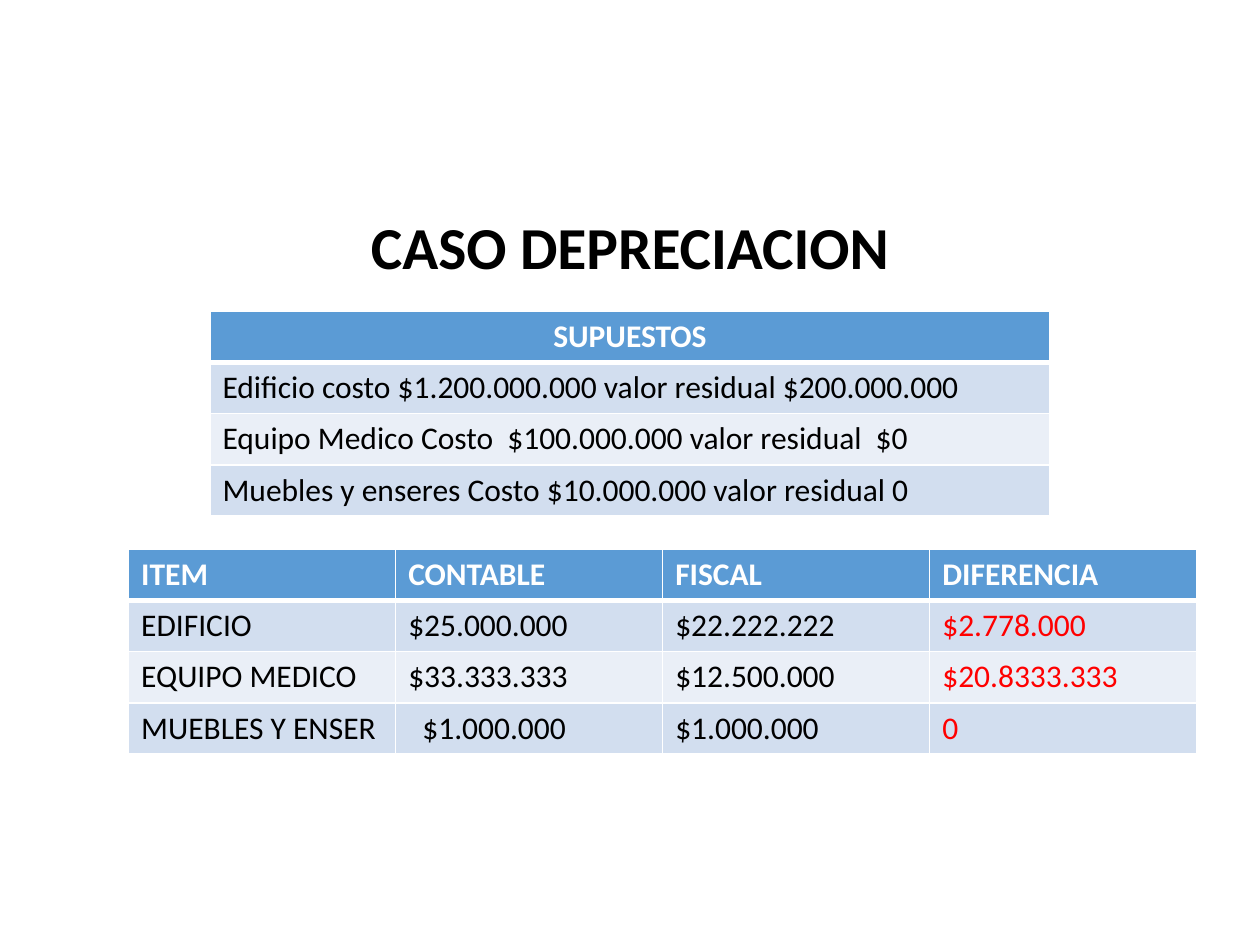
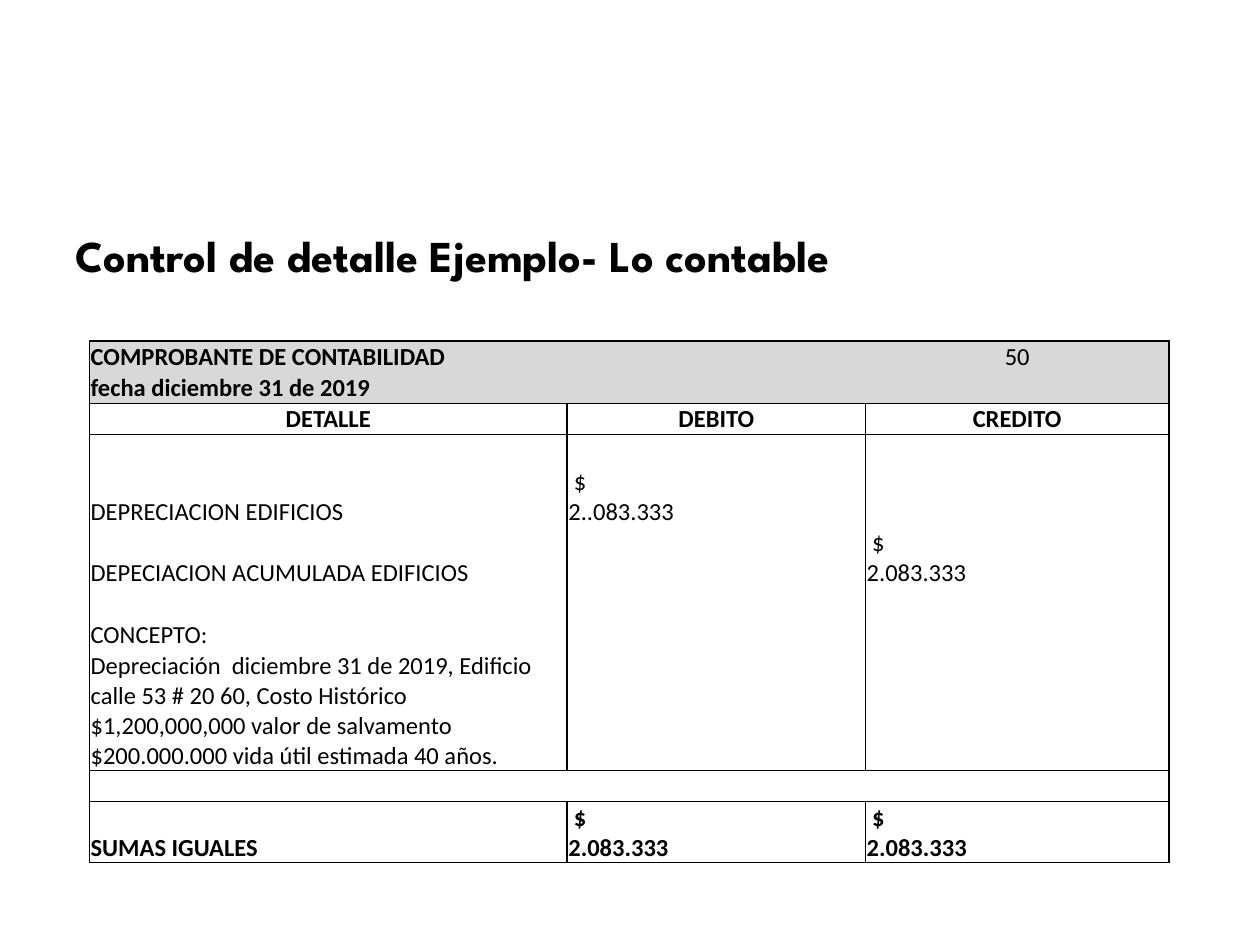
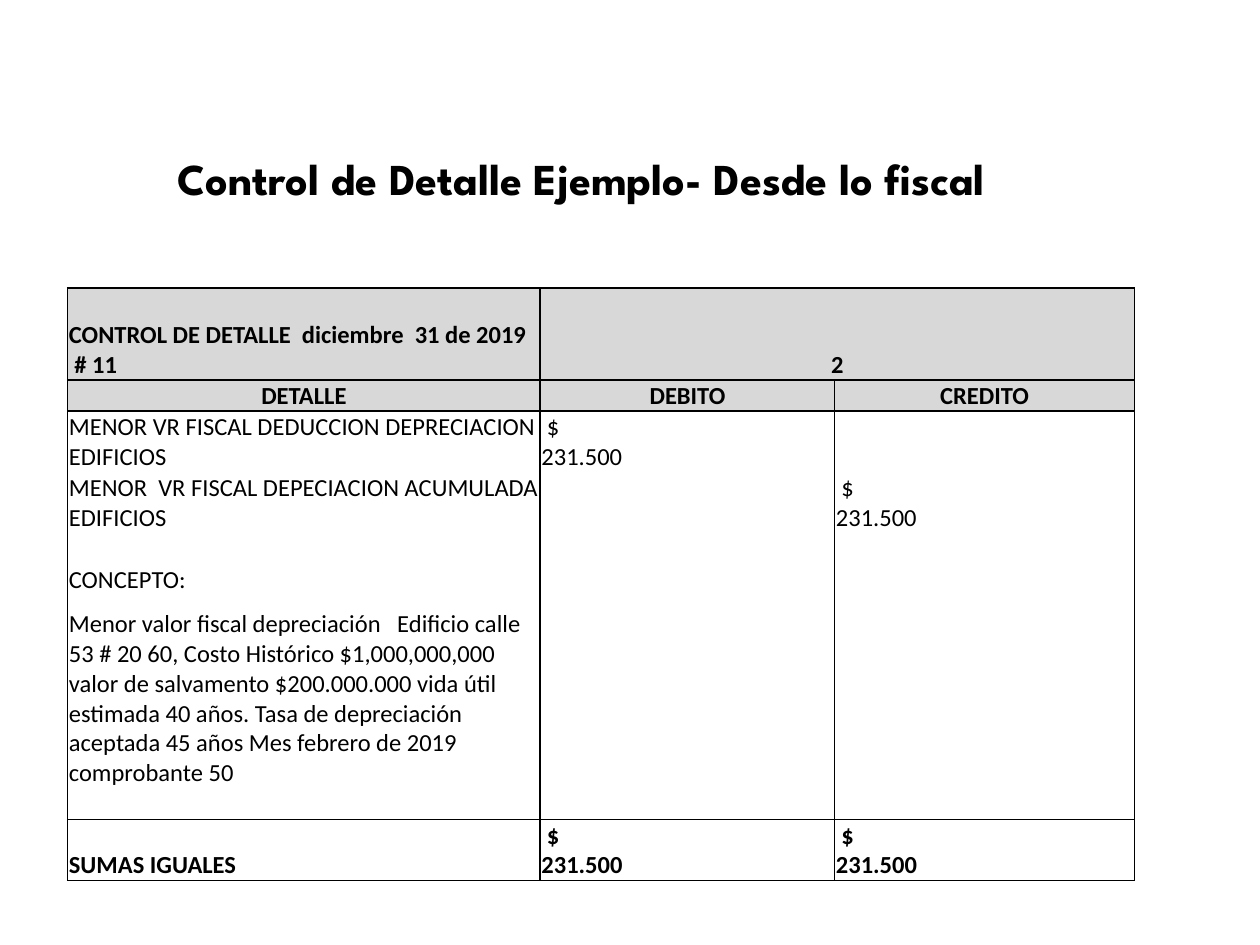
from dataclasses import dataclass

from lxml import etree
from pptx import Presentation
from pptx.dml.color import RGBColor
from pptx.enum.text import MSO_ANCHOR, MSO_AUTO_SIZE, PP_ALIGN
from pptx.oxml.ns import qn
from pptx.util import Pt

LEFT, CENTER = PP_ALIGN.LEFT, PP_ALIGN.CENTER
TOP, BOTTOM = MSO_ANCHOR.TOP, MSO_ANCHOR.BOTTOM
NO_AUTOFIT = MSO_AUTO_SIZE.NONE
TITLE_ONLY = 5


@dataclass(frozen=True)
class Theme:
    ink: str = "000000"
    paper: str = "FFFFFF"
    alert: str = "FF0000"
    header: str = "5B9BD5"
    stripes: tuple = ("D2DEEF", "EAEFF7")
    voucher_head: str = "D8D8D8"
    body_font: str = "Calibri"
    display_font: str = "League Spartan"
    case_title_size: float = 34
    detail_title_size: float = 25.2
    grid_size: float = 18
    voucher_size: float = 14
    grid_row: float = 28.8
    grid_margins: tuple = (7.2, 3.6, 7.2, 3.6)
    voucher_margins: tuple = (0.7, 0.7, 0.7, 0)


@dataclass(frozen=True)
class Band:
    """Voucher rows inside one frame; each row is (height, detail, debit, credit)."""
    rows: list
    fill: str = None
    split: bool = True
    bold: bool = False
    aligns: tuple = (LEFT, LEFT, LEFT)


class Deck:
    def __init__(self, theme):
        self.theme = theme
        self.prs = Presentation()
        self.prs.slide_width, self.prs.slide_height = Pt(720), Pt(540)
        self.slide = None

    def style(self, paragraph, size, color, bold=False, font=None, align=LEFT):
        paragraph.alignment = align
        paragraph.font.name = font or self.theme.body_font
        paragraph.font.size = Pt(size)
        paragraph.font.bold = bold
        paragraph.font.color.rgb = RGBColor.from_string(color)

    def titled_slide(self, text, left, top, size, font, align=LEFT):
        self.slide = self.prs.slides.add_slide(self.prs.slide_layouts[TITLE_ONLY])
        title = self.slide.shapes.title
        title.left, title.top, title.width, title.height = Pt(left), Pt(top), Pt(648), Pt(27.4)
        frame = title.text_frame
        frame.text = text
        frame.auto_size, frame.vertical_anchor = NO_AUTOFIT, BOTTOM
        paragraph = frame.paragraphs[0]
        paragraph.line_spacing = 0.9
        self.style(paragraph, size, self.theme.ink, True, font, align)

    def table(self, left, top, widths, heights):
        table = self.slide.shapes.add_table(
            len(heights), len(widths), Pt(left), Pt(top),
            Pt(sum(widths)), Pt(sum(heights))).table
        table.first_row = table.horz_banding = False
        for column, width in zip(table.columns, widths):
            column.width = Pt(width)
        for row, height in zip(table.rows, heights):
            row.height = Pt(height)
        return table

    def borders(self, cell, color, **widths):
        """Draw the sides L, R, T and B; a width of 0 hides that side."""
        tc_pr = cell._tc.get_or_add_tcPr()
        for side in "LRTB":
            line = etree.SubElement(tc_pr, qn(f"a:ln{side}"), w=str(Pt(widths[side])))
            if widths[side]:
                solid = etree.SubElement(line, qn("a:solidFill"))
                etree.SubElement(solid, qn("a:srgbClr"), val=color)
            else:
                etree.SubElement(line, qn("a:noFill"))

    def cell(self, cell, text, size, color, margins, fill=None, bold=False,
             align=LEFT, anchor=TOP):
        cell.margin_left, cell.margin_top, cell.margin_right, cell.margin_bottom = map(Pt, margins)
        cell.vertical_anchor = anchor
        paragraph = cell.text_frame.paragraphs[0]
        if text:
            paragraph.text = text
        else:
            paragraph._p.get_or_add_endParaRPr().sz = Pt(size).centipoints
        self.style(paragraph, size, color, bold, align=align)
        if fill:
            cell.fill.solid()
            cell.fill.fore_color.rgb = RGBColor.from_string(fill)
        else:
            cell.fill.background()

    def striped_grid(self, left, top, widths, rows, header_align=LEFT, alert_column=None):
        t = self.theme
        table = self.table(left, top, widths, [t.grid_row] * len(rows))
        for r, texts in enumerate(rows):
            is_header = r == 0
            for c, text in enumerate(texts):
                cell = table.cell(r, c)
                self.borders(cell, t.paper, L=1, R=1, T=3 if r == 1 else 1,
                             B=3 if is_header else 1)
                color = t.paper if is_header else t.alert if c == alert_column else t.ink
                self.cell(cell, text, t.grid_size, color, t.grid_margins,
                          t.header if is_header else t.stripes[(r - 1) % 2],
                          is_header, header_align if is_header else LEFT)
        return table

    def voucher(self, left, top, widths, bands):
        t = self.theme
        table = self.table(left, top, widths, [row[0] for band in bands for row in band.rows])
        r = 0
        for band in bands:
            for i, (_, *texts) in enumerate(band.rows):
                for c, text in enumerate(texts):
                    cell = table.cell(r, c)
                    self.borders(cell, t.ink,
                                 L=int(band.split or c == 0),
                                 R=int(band.split or c == len(widths) - 1),
                                 T=int(i == 0), B=int(i == len(band.rows) - 1))
                    self.cell(cell, text, t.voucher_size, t.ink, t.voucher_margins,
                              band.fill, band.bold, band.aligns[c], BOTTOM)
                r += 1
        return table


ONE_LINE, TWO_LINES = 17.7, 34.9
ALL_CENTERED = (CENTER,) * 3
NUMBER_CENTERED = (LEFT, CENTER, CENTER)
COLUMN_NAMES = (ONE_LINE, "DETALLE", "DEBITO", "CREDITO")
EMPTY = (ONE_LINE, "", "", "")


def amount(value):
    return f" $\v{value}"


def totals(value):
    return Band([(TWO_LINES, "SUMAS IGUALES", amount(value), amount(value))], bold=True)


def depreciation_case(deck):
    theme = deck.theme
    deck.titled_slide("CASO DEPRECIACION", 36, 137.5, theme.case_title_size,
                      theme.body_font, CENTER)
    deck.striped_grid(120, 178, [480], [
        ["SUPUESTOS"],
        ["Edificio costo $1.200.000.000 valor residual $200.000.000"],
        ["Equipo Medico Costo  $100.000.000 valor residual  $0"],
        ["Muebles y enseres Costo $10.000.000 valor residual 0"],
    ], header_align=CENTER)
    comparison = deck.striped_grid(73.5, 314, [152.6] * 4, [
        ["ITEM", "CONTABLE", "FISCAL", "DIFERENCIA"],
        ["EDIFICIO", "$25.000.000", "$22.222.222", "$2.778.000"],
        ["EQUIPO MEDICO", "$33.333.333", "$12.500.000", "$20.8333.333"],
        ["MUEBLES Y ENSER", "$1.000.000", "$1.000.000", "0"],
    ], alert_column=3)
    # The furniture amount is set in a little
    comparison.cell(3, 1).margin_left = Pt(15.3)


def accounting_voucher(deck):
    theme = deck.theme
    deck.titled_slide("Control de detalle Ejemplo- Lo contable", 36, 137.5,
                      theme.detail_title_size, theme.display_font)
    voucher = deck.voucher(51.1, 195, [273, 170.5, 173.5], [
        Band([(ONE_LINE, "COMPROBANTE DE CONTABILIDAD", "", "50"),
              (ONE_LINE, "fecha diciembre 31 de 2019", "", "")],
             theme.voucher_head, split=False, bold=True, aligns=NUMBER_CENTERED),
        Band([COLUMN_NAMES], bold=True, aligns=ALL_CENTERED),
        Band([EMPTY,
              (TWO_LINES, "DEPRECIACION EDIFICIOS", amount("2..083.333"), ""),
              (TWO_LINES, "DEPECIACION ACUMULADA EDIFICIOS", "", amount("2.083.333")),
              EMPTY,
              (ONE_LINE, "CONCEPTO:", "", ""),
              (69.1, "Depreciación  diciembre 31 de 2019, Edificio calle 53 # 20 60, "
                     "Costo Histórico $1,200,000,000 valor de salvamento $200.000.000 "
                     "vida útil estimada 40 años.", "", "")]),
        Band([EMPTY], split=False),
        totals("2.083.333"),
    ])
    # The voucher number is lighter than its heading
    voucher.cell(0, 2).text_frame.paragraphs[0].font.bold = False


def fiscal_voucher(deck):
    theme = deck.theme
    deck.titled_slide("Control de Detalle Ejemplo- Desde lo fiscal", 94.3, 93.6,
                      theme.detail_title_size, theme.display_font)
    voucher = deck.voucher(38.7, 164.6, [270, 168.3, 171.3], [
        Band([(52.6, "CONTROL DE DETALLE  diciembre  31 de 2019\v # 11", "2", "")],
             theme.voucher_head, bold=True, aligns=NUMBER_CENTERED),
        Band([COLUMN_NAMES], theme.voucher_head, bold=True, aligns=ALL_CENTERED),
        Band([(TWO_LINES, "MENOR VR FISCAL DEDUCCION DEPRECIACION EDIFICIOS",
               amount("231.500"), ""),
              (TWO_LINES, "MENOR  VR FISCAL DEPECIACION ACUMULADA EDIFICIOS",
               "", amount("231.500")),
              EMPTY,
              (ONE_LINE, "CONCEPTO:", "", ""),
              (110.2, "Menor valor fiscal depreciación   Edificio calle 53 # 20 60, "
                      "Costo Histórico $1,000,000,000 valor de salvamento $200.000.000 "
                      "vida útil estimada 40 años. Tasa de depreciación aceptada 45 años "
                      "Mes febrero de 2019 comprobante 50", "", ""),
              EMPTY]),
        totals("231.500"),
    ])
    # The voucher number spans both amount columns
    voucher.cell(0, 1).merge(voucher.cell(0, 2))


def main():
    deck = Deck(Theme())
    depreciation_case(deck)
    accounting_voucher(deck)
    fiscal_voucher(deck)
    deck.prs.save("out.pptx")


if __name__ == "__main__":
    main()
